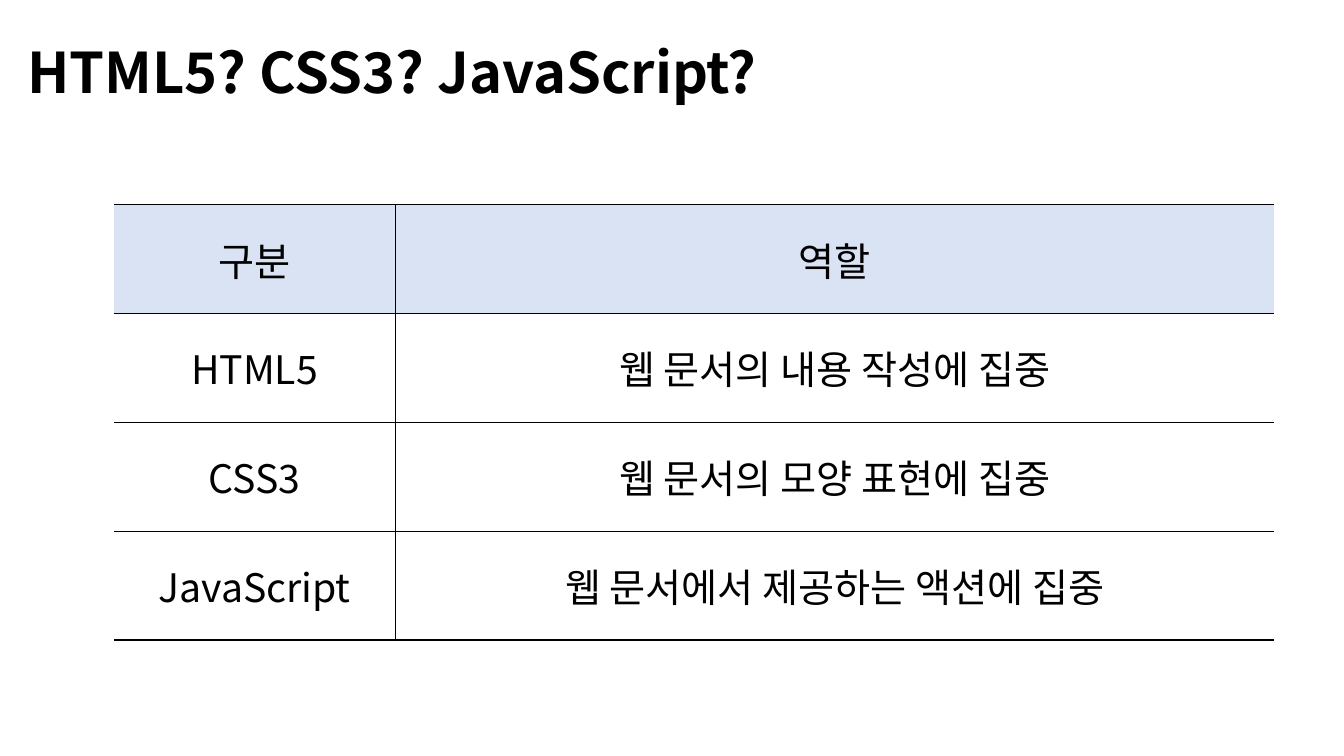
from lxml.etree import SubElement
from pptx import Presentation
from pptx.dml.color import RGBColor
from pptx.enum.text import MSO_ANCHOR, PP_ALIGN
from pptx.oxml.ns import qn
from pptx.util import Inches, Pt

FONT = "Noto Sans CJK KR"
INK = "000000"
HEADER_FILL = "DAE3F3"
COLUMN_WIDTHS = (2.79, 8.72)
ROW_HEIGHT = 1.08
ROLES = (
    ("구분", "역할"),
    ("HTML5", "웹 문서의 내용 작성에 집중"),
    ("CSS3", "웹 문서의 모양 표현에 집중"),
    ("JavaScript", "웹 문서에서 제공하는 액션에 집중"),
)


def color(hex_code):
    return RGBColor.from_string(hex_code)


def add_run(paragraph, words, size, bold=False):
    run = paragraph.add_run()
    run.text = words
    font = run.font
    font.name, font.size, font.bold = FONT, Pt(size), bold
    font.color.rgb = color(INK)
    # Hangul takes its typeface from the East Asian slot
    SubElement(font._element, qn("a:ea"), typeface=FONT)


def set_borders(cell, ruled_sides):
    """Rule the given sides (letters of LRTB) and clear the others."""
    properties = cell._tc.get_or_add_tcPr()
    for side in "LRTB":
        line = SubElement(properties, qn(f"a:ln{side}"), w=str(Pt(1)))
        if side in ruled_sides:
            ink = SubElement(line, qn("a:solidFill"))
            SubElement(ink, qn("a:srgbClr"), val=INK)
        else:
            SubElement(line, qn("a:noFill"))


def add_title(slide, words):
    title = slide.shapes.title
    title.left, title.top = Inches(0.17), Inches(0.23)
    title.width, title.height = Inches(8.89), Inches(1.04)
    frame = title.text_frame
    frame.word_wrap = True
    frame.vertical_anchor = MSO_ANCHOR.MIDDLE
    heading = frame.paragraphs[0]
    heading.alignment = PP_ALIGN.LEFT
    heading.line_spacing = 0.9
    add_run(heading, words, 40, bold=True)


def fill_cell(cell, words, ruled_sides, is_header):
    set_borders(cell, ruled_sides)
    if is_header:
        cell.fill.solid()
        cell.fill.fore_color.rgb = color(HEADER_FILL)
    else:
        cell.fill.background()
    cell.vertical_anchor = MSO_ANCHOR.MIDDLE
    label = cell.text_frame.paragraphs[0]
    label.alignment = PP_ALIGN.CENTER
    add_run(label, words, 28)


def add_role_table(slide, left, top):
    table = slide.shapes.add_table(
        len(ROLES), len(COLUMN_WIDTHS), Inches(left), Inches(top),
        Inches(sum(COLUMN_WIDTHS)), Inches(ROW_HEIGHT * len(ROLES)),
    ).table
    table.first_row = table.horz_banding = False
    for column, width in zip(table.columns, COLUMN_WIDTHS):
        column.width = Inches(width)
    for row_index, entries in enumerate(ROLES):
        table.rows[row_index].height = Inches(ROW_HEIGHT)
        for column_index, (words, sides) in enumerate(zip(entries, ("RTB", "LTB"))):
            fill_cell(table.cell(row_index, column_index), words, sides, row_index == 0)


def main():
    deck = Presentation()
    deck.slide_width, deck.slide_height = Inches(13.33), Inches(7.5)
    slide = deck.slides.add_slide(deck.slide_layouts.get_by_name("Title Only"))
    add_title(slide, "HTML5? CSS3? JavaScript?")
    add_role_table(slide, 1.13, 2.03)
    deck.save("out.pptx")


if __name__ == "__main__":
    main()
